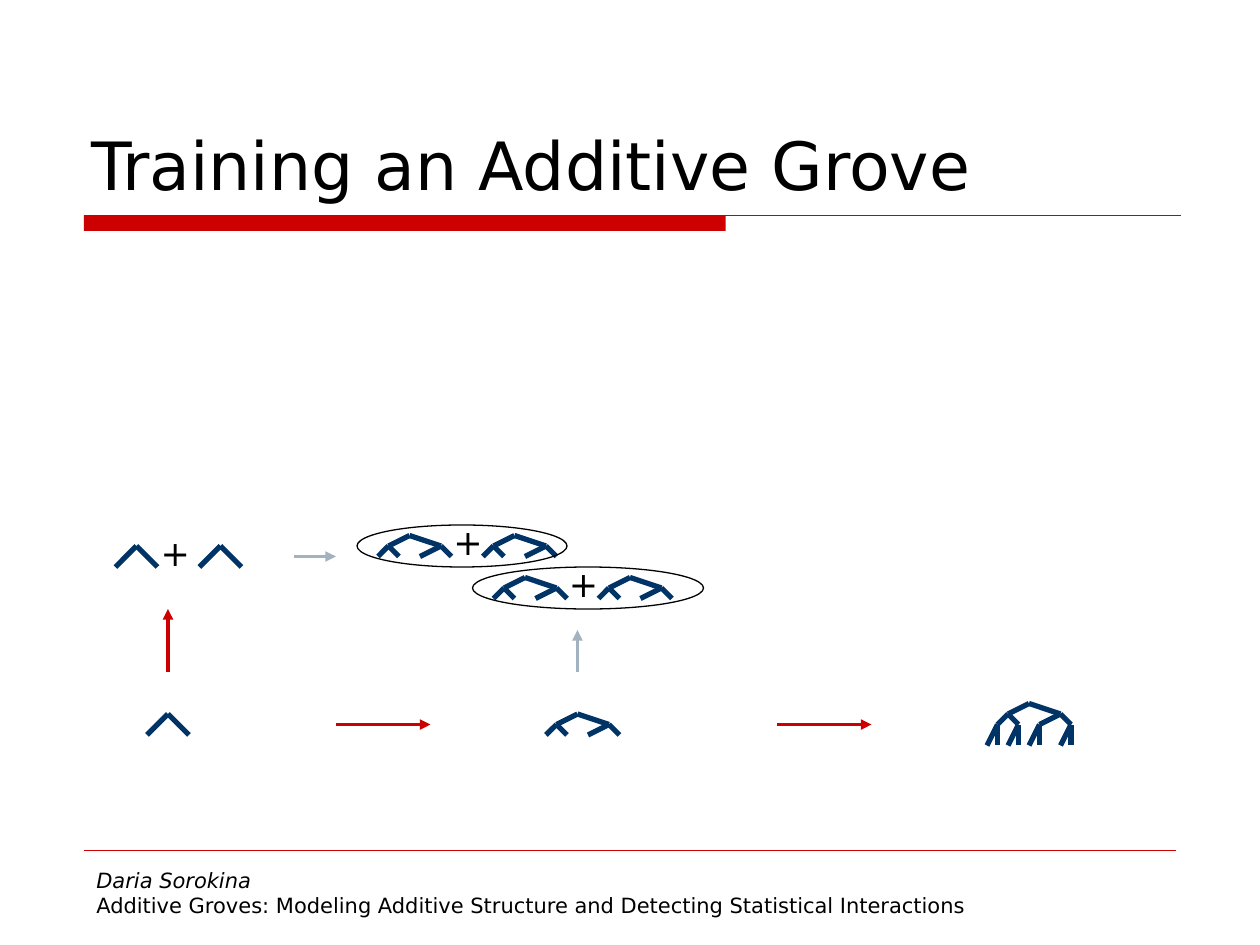
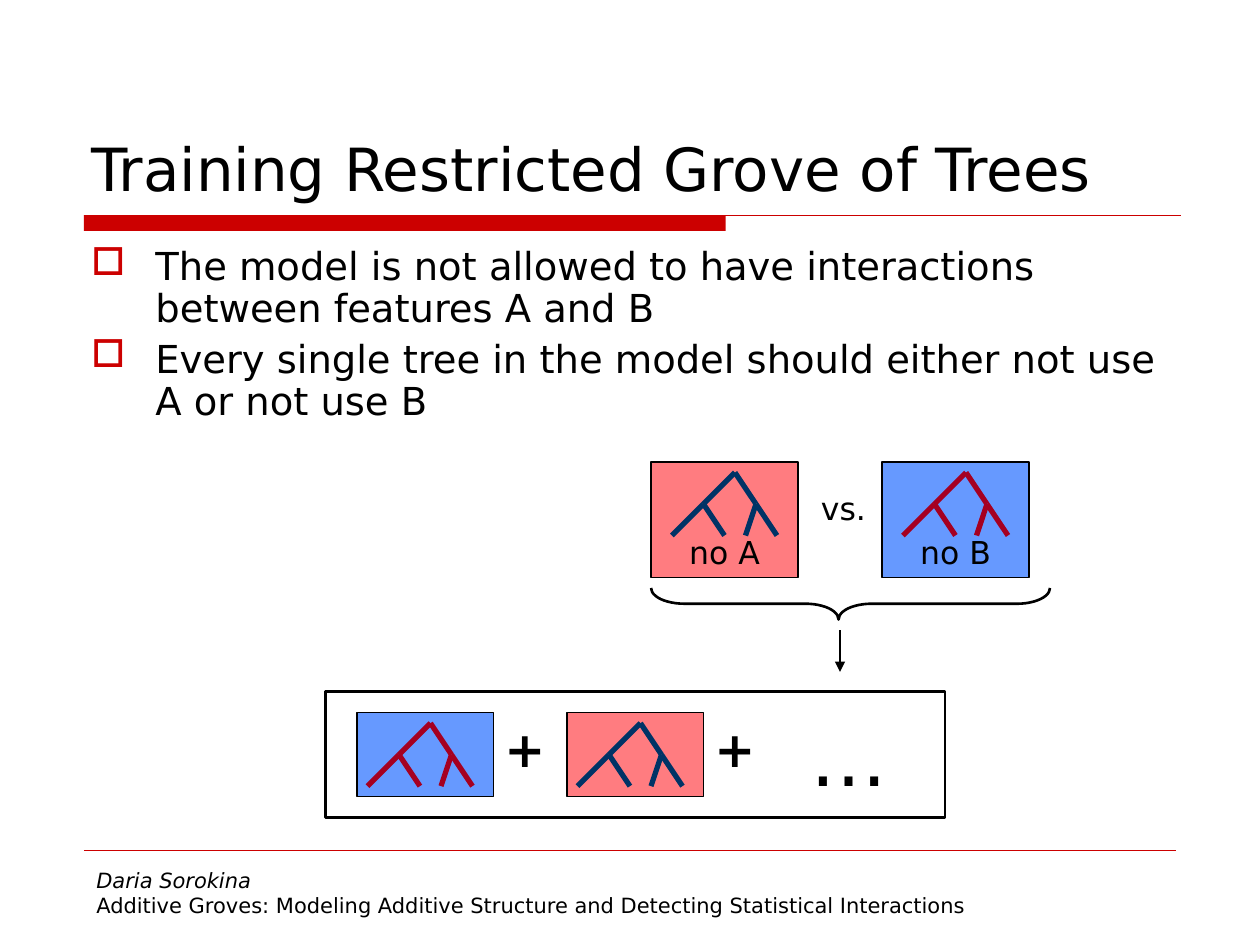
from lxml import etree
from pptx import Presentation
from pptx import util as u
from pptx.dml.color import RGBColor
from pptx.enum import shapes, text
from pptx.oxml import ns

PX = 9525  # EMU per px, 96 px to the inch
FONT = "DejaVu Sans"
RED, PALE, NAVY, WINE = "CC0000", "A3B2C1", "003366", "A50021"
PINK, BLUE, BLACK = "FF7C80", "6699FF", "000000"
RECT, OVAL = shapes.MSO_SHAPE.RECTANGLE, shapes.MSO_SHAPE.OVAL
LEFT, CENTER = text.PP_ALIGN.LEFT, text.PP_ALIGN.CENTER
TOP, BOTTOM = text.MSO_ANCHOR.TOP, text.MSO_ANCHOR.BOTTOM
rgb = RGBColor.from_string


def line(s, x1, y1, x2, y2, color, width, arrow=False):
    c = s.shapes.add_connector(shapes.MSO_CONNECTOR.STRAIGHT,
                               x1 * PX, y1 * PX, x2 * PX, y2 * PX)
    c.line.color.rgb = rgb(color)
    c.line.width = u.Pt(width)
    if arrow:
        etree.SubElement(c.line._ln, ns.qn("a:tailEnd"), type="triangle")
    etree.SubElement(c._element.spPr, ns.qn("a:effectLst"))


def box(s, kind, place, paras=(), size=18, fill=None, edge=None, width=0.75,
        align=LEFT, anchor=TOP, bold=False):
    """Add a preset shape, or a text box when kind is None, with one run per paragraph."""
    place = [v * PX for v in place]
    if kind is None:
        sp = s.shapes.add_textbox(*place)
    else:
        sp = s.shapes.add_shape(kind, *place)
        sp.shadow.inherit = False
        if fill:
            sp.fill.solid()
            sp.fill.fore_color.rgb = rgb(fill)
        else:
            sp.fill.background()
        if edge:
            sp.line.color.rgb = rgb(edge)
            sp.line.width = u.Pt(width)
        else:
            sp.line.fill.background()
    tf = sp.text_frame
    tf.word_wrap = True
    tf.vertical_anchor = anchor
    for i, words in enumerate(paras):
        p = tf.add_paragraph() if i else tf.paragraphs[0]
        p.alignment = align
        r = p.add_run()
        r.text = words
        r.font.name = FONT
        r.font.size = u.Pt(size)
        r.font.bold = bold
        r.font.color.rgb = rgb(BLACK)
    return sp


prs = Presentation()
prs.slide_width, prs.slide_height = 960 * PX, 720 * PX

# Title, band and footer of every slide
slides = []
for title, size in (("Training an Additive Grove", 38),
                    ("Training Restricted Grove of Trees", 34)):
    s = prs.slides.add_slide(prs.slide_layouts[6])
    box(s, RECT, (64, 164, 489, 12), fill=RED)
    line(s, 64, 164, 900, 164, RED, 0.75)
    line(s, 64, 648, 896, 648, RED, 0.25)
    footer = box(s, None, (64, 656, 768, 50), (
        "Daria Sorokina",
        "Additive Groves: Modeling Additive Structure and Detecting Statistical Interactions"), 12)
    footer.text_frame.paragraphs[0].runs[0].font.italic = True
    box(s, None, (60, 32, 840, 128), [title], size, anchor=BOTTOM)
    slides.append(s)
grove, restricted = slides

# Branches as x1, y1, x2, y2 from the root of each tree
stump = [(0, 0, -16, 16), (0, 0, 16, 16)]
small = [(0, 0, -16, 8), (0, 0, 24, 8), (-16, 8, -24, 16),
         (-16, 8, -8, 16), (24, 8, 8, 16), (24, 8, 32, 16)]
deep = small + [(x, 16, x + dx, 32) for x in (-24, -8, 8, 32) for dx in (-8, 0)]
tall = [(0, 0, -24, 24), (0, 0, 16, 24), (16, 24, 8, 48),
        (16, 24, 32, 48), (-24, 24, -48, 48), (-24, 24, -8, 48)]

# Slide 1: groves growing in size and in number of trees
for tree, roots in ((stump, [(128, 544), (104, 416), (168, 416)]),
                    (small, [(440, 544), (312, 408), (392, 408), (400, 440), (480, 440)]),
                    (deep, [(784, 536)])):
    for x, y in roots:
        for x1, y1, x2, y2 in tree:
            line(grove, x + x1, y + y1, x + x2, y + y2, NAVY, 3)
for x, y in ((113, 400), (336, 392), (424, 424)):
    box(grove, None, (x, y, 40, 42), ["+"], 20)
for x1, y1, x2, y2, color in ((592, 552, 664, 552, RED), (256, 552, 328, 552, RED),
                              (128, 512, 128, 464, RED), (224, 424, 256, 424, PALE),
                              (440, 512, 440, 480, PALE)):
    line(grove, x1, y1, x2, y2, color, 2, arrow=True)
for place in ((360, 432, 176, 32), (272, 400, 160, 32)):
    box(grove, OVAL, place, edge=BLACK)

# Slide 2: rules of the restricted model
rules = box(restricted, None, (60, 184, 840, 152), (
    "The model is not allowed to have interactions between features A and B",
    "Every single tree in the model should either not use A or not use B"), 22)
for i, p in enumerate(rules.text_frame.paragraphs):
    pPr = p._p.get_or_add_pPr()
    pPr.set("marL", str(49 * PX))
    pPr.set("indent", str(-49 * PX))
    bullet_color = etree.SubElement(pPr, ns.qn("a:buClr"))
    etree.SubElement(bullet_color, ns.qn("a:srgbClr"), val=RED)
    etree.SubElement(pPr, ns.qn("a:buChar"), char="□")
    p.line_spacing = 0.9
    p.space_before = u.Pt(5.5 if i else 0)

# Candidate trees above, chosen trees below
for place, caption, fill, color, x, y in (
        ((496, 352, 112, 88), ["no A"], PINK, NAVY, 560, 360),
        ((672, 352, 112, 88), ["no B"], BLUE, WINE, 736, 360),
        ((432, 543, 104, 64), [], PINK, NAVY, 488, 551),
        ((272, 543, 104, 64), [], BLUE, WINE, 328, 551)):
    box(restricted, RECT, place, caption, 18, fill, BLACK, align=CENTER, anchor=BOTTOM)
    for x1, y1, x2, y2 in tall:
        line(restricted, x + x1, y + y1, x + x2, y + y2, color, 3)
box(restricted, None, (616, 368, 64, 38), ["vs."], 18)

brace = box(restricted, shapes.MSO_SHAPE.RIGHT_BRACE, (636, 308, 24, 304),
            edge=BLACK, width=1.5)
brace.rotation = 90
brace.adjustments[0] = 1.05
brace.adjustments[1] = 0.53
line(restricted, 640, 480, 640, 512, BLACK, 1.5, arrow=True)

for x in (400, 560):
    box(restricted, None, (x - 30, 543, 60, 55), ["+"], 28, align=CENTER, bold=True)
box(restricted, None, (608, 536, 72, 80), ["…"], 44, align=CENTER)
box(restricted, RECT, (248, 527, 472, 96), edge=BLACK, width=1.5)

prs.save("out.pptx")
